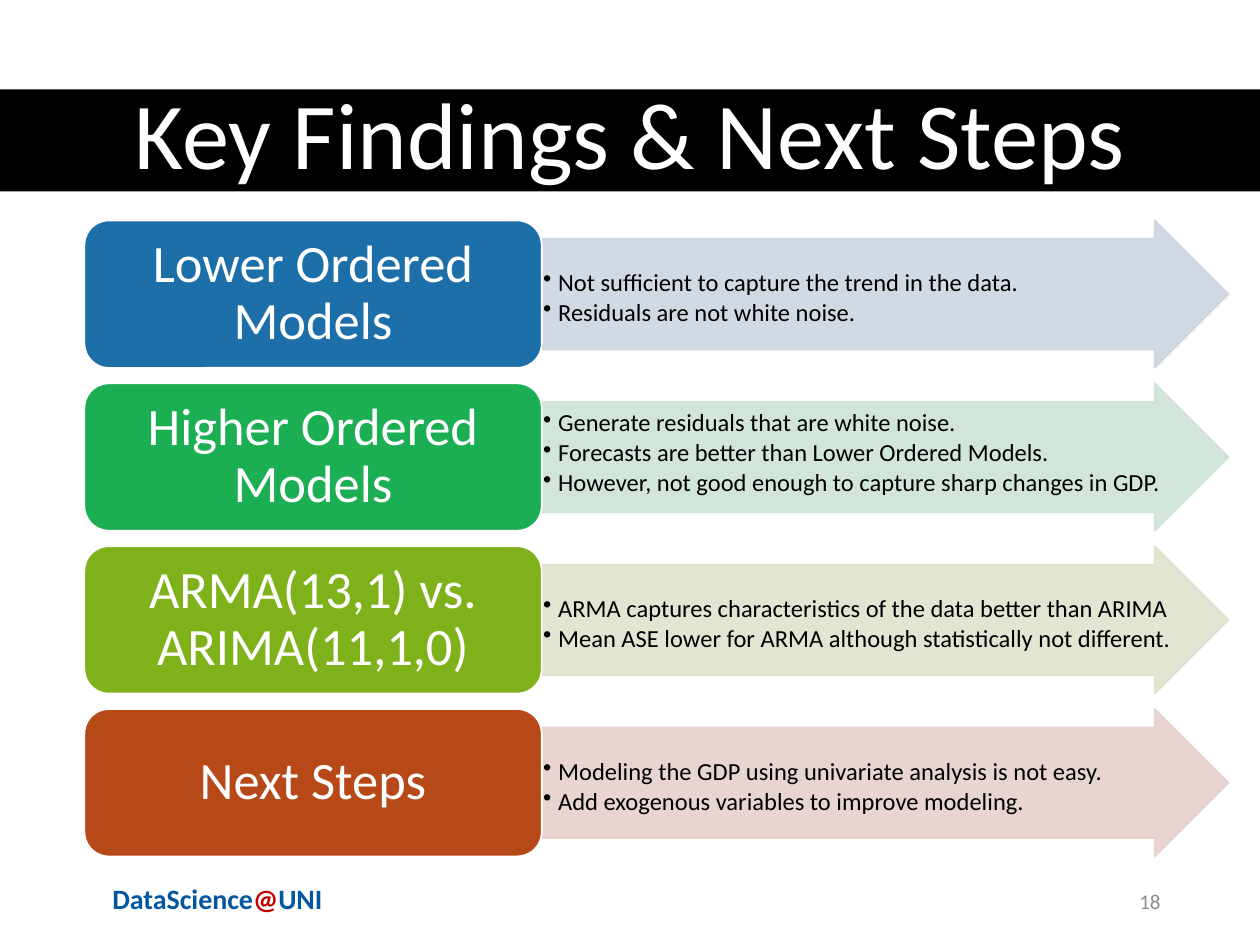
import pptx
import pptx.dml.color
import pptx.enum.shapes
import pptx.enum.text
import pptx.oxml
import pptx.oxml.ns
import pptx.util
from lxml import etree

SHAPE = pptx.enum.shapes.MSO_SHAPE
ALIGN = pptx.enum.text.PP_ALIGN
ANCHOR = pptx.enum.text.MSO_ANCHOR
Inches = pptx.util.Inches
Pt = pptx.util.Pt
qn = pptx.oxml.ns.qn

FONT = "Calibri"
TOP, PITCH, ROW_H = 1.75, 1.2925, 1.17
LABEL_X, LABEL_W = 0.67, 3.63
ARROW_X, ARROW_W = LABEL_X + LABEL_W, 5.45

# label, label colour, arrow colour, space above the list, list items
ROWS = [
    ("Lower Ordered Models", "1D6FA9", "CDD5E2", 0.25,
     ["Not sufficient to capture the trend in the data.",
      "Residuals are not white noise."]),
    ("Higher Ordered Models", "1CAE53", "CDE3D7", 0.07,
     ["Generate residuals that are white noise.",
      "Forecasts are better than Lower Ordered Models.",
      "However, not good enough to capture sharp changes in GDP."]),
    ("ARMA(13,1) vs. ARIMA(11,1,0)", "7FB21A", "DDE4CC", 0.25,
     ["ARMA captures characteristics of the data better than ARIMA",
      "Mean ASE lower for ARMA although statistically not different."]),
    ("Next Steps", "B74919", "E6D0CC", 0.25,
     ["Modeling the GDP using univariate analysis is not easy.",
      "Add exogenous variables to improve modeling."]),
]


def rgb(hex_color):
    return pptx.dml.color.RGBColor.from_string(hex_color)


def box(x, y, w, h):
    return [Inches(v) for v in (x, y, w, h)]


def add_run(p, text, size, color, bold=False):
    r = p.add_run()
    r.text = text
    r.font.name = FONT
    r.font.size = Pt(size)
    r.font.bold = bold
    r.font.color.rgb = rgb(color)


def set_frame(tf, anchor, insets):
    """Insets are left, top, right, bottom in inches."""
    tf.word_wrap = True
    tf.auto_size = pptx.enum.text.MSO_AUTO_SIZE.NONE
    tf.vertical_anchor = anchor
    tf.margin_left, tf.margin_top, tf.margin_right, tf.margin_bottom = box(*insets)


def add_block(slide, kind, place, fill, line=None):
    sp = slide.shapes.add_shape(kind, *box(*place))
    sp.shadow.inherit = False
    sp.fill.solid()
    sp.fill.fore_color.rgb = rgb(fill)
    if line:
        sp.line.color.rgb = rgb(line)
        sp.line.width = Pt(1)
    else:
        sp.line.fill.background()
    return sp


def set_opacity(sp, percent):
    """Apply to both the fill and the outline."""
    for color in sp._element.spPr.iter(qn("a:srgbClr")):
        etree.SubElement(color, qn("a:alpha")).set("val", str(percent * 1000))


def set_bullet(p):
    pPr = p._p.get_or_add_pPr()
    pPr.set("marL", str(Inches(0.12)))
    pPr.set("indent", str(-Inches(0.12)))
    etree.SubElement(pPr, qn("a:buChar")).set("char", "•")


def add_arrow(slide, y, color, space_above, items):
    sp = add_block(slide, SHAPE.RIGHT_ARROW, (ARROW_X, y, ARROW_W, ROW_H), color, color)
    sp.adjustments[0], sp.adjustments[1] = 0.75, 0.5
    set_opacity(sp, 90)
    tf = sp.text_frame
    set_frame(tf, ANCHOR.TOP, (0.01, space_above, 0.01, 0.01))
    for i, item in enumerate(items):
        p = tf.add_paragraph() if i else tf.paragraphs[0]
        p.alignment = ALIGN.LEFT
        p.line_spacing = 0.9
        p.space_after = Pt(2)
        set_bullet(p)
        add_run(p, item, 14, "000000")


def add_label(slide, y, color, text):
    sp = add_block(slide, SHAPE.ROUNDED_RECTANGLE, (LABEL_X, y, LABEL_W, ROW_H),
                   color, "FFFFFF")
    set_frame(sp.text_frame, ANCHOR.MIDDLE, (0.12, 0.06, 0.12, 0.06))
    p = sp.text_frame.paragraphs[0]
    p.alignment = ALIGN.CENTER
    p.line_spacing = 0.9
    add_run(p, text, 30, "FFFFFF")


def add_title(slide, text):
    bar = add_block(slide, SHAPE.RECTANGLE, (0, 0.71, 10, 0.81), "000000")
    slide.shapes._spTree.insert(2, bar._element)
    title = slide.shapes.title
    title.left, title.top, title.width, title.height = box(0, 0.7, 10, 0.81)
    set_frame(title.text_frame, ANCHOR.MIDDLE, (0.1, 0.05, 0.1, 0.05))
    p = title.text_frame.paragraphs[0]
    p.alignment = ALIGN.CENTER
    p.line_spacing = 0.9
    add_run(p, text, 54, "FFFFFF")


def add_footer_text(slide, place, align, anchor, size, runs, bold=False):
    tf = slide.shapes.add_textbox(*box(*place)).text_frame
    set_frame(tf, anchor, (0.1, 0.05, 0.1, 0.05))
    p = tf.paragraphs[0]
    p.alignment = align
    for text, color in runs:
        add_run(p, text, size, color, bold)


def main():
    prs = pptx.Presentation()
    prs.slide_width, prs.slide_height = Inches(10), Inches(7.5)
    slide = prs.slides.add_slide(prs.slide_layouts[5])
    add_title(slide, "Key Findings & Next Steps")
    for i, (label, color, tint, space_above, items) in enumerate(ROWS):
        y = TOP + i * PITCH
        add_arrow(slide, y, tint, space_above, items)
        add_label(slide, y, color, label)
    add_footer_text(slide, (0.69, 6.95, 2.07, 0.53), ALIGN.CENTER, ANCHOR.TOP, 16,
                    [("DataScience", "0257A1"), ("@", "C00000"), ("UNI", "0257A1")],
                    bold=True)
    add_footer_text(slide, (7.06, 6.95, 2.25, 0.4), ALIGN.RIGHT, ANCHOR.MIDDLE, 12,
                    [("18", "8C8C8C")])
    prs.save("out.pptx")


if __name__ == "__main__":
    main()
